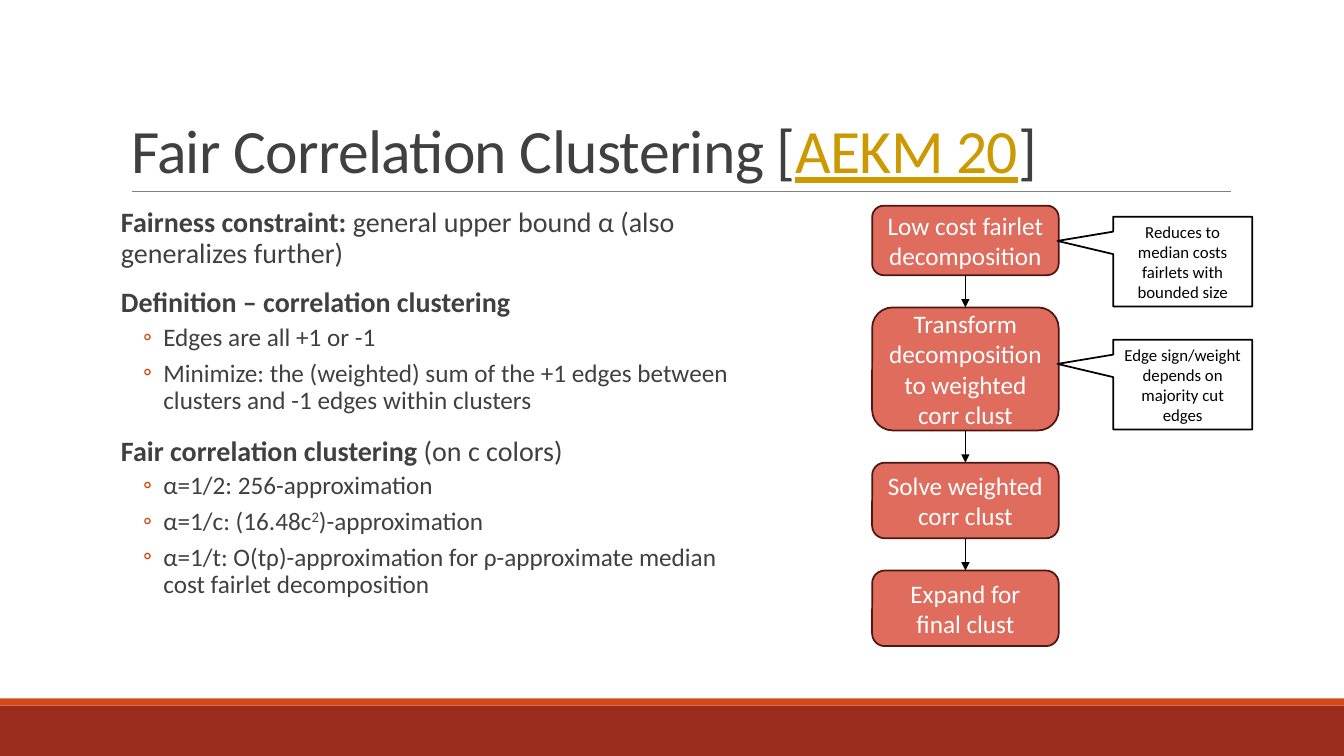
"""Build the fair correlation clustering slide and save it as out.pptx."""
from dataclasses import dataclass

from lxml.etree import SubElement
from pptx import Presentation
from pptx.dml.color import RGBColor
from pptx.enum.shapes import MSO_CONNECTOR, MSO_SHAPE
from pptx.enum.text import MSO_ANCHOR, MSO_AUTO_SIZE, PP_ALIGN
from pptx.oxml.ns import qn
from pptx.util import Inches, Pt


@dataclass(frozen=True)
class Theme:
    font: str = "Calibri"
    text: str = "404040"
    citation: str = "CC9900"
    accent: str = "D34817"
    footer: str = "9B2D1F"
    rule: str = "808080"
    step_fill: str = "DF6C5D"
    step_line: str = "4E1710"
    white: str = "FFFFFF"
    black: str = "000000"
    title_size: int = 44
    heading_size: int = 20
    step_size: int = 18
    note_size: int = 12


THEME = Theme()
BOLD = {"bold": True}
TITLE = [
    ("Fair Correlation Clustering [", {}),
    ("AEKM 20", {"color": THEME.citation, "underline": True}),
    ("]", {}),
]
BODY = [
    (0, [("Fairness constraint:", BOLD),
         (" general upper bound α (also generalizes further)", {})]),
    (0, [("Definition – correlation clustering", BOLD)]),
    (1, [("Edges are all +1 or -1", {})]),
    (1, [("Minimize: the (weighted) sum of the +1 edges between clusters "
          "and -1 edges within clusters", {})]),
    (0, [("Fair correlation clustering ", BOLD), ("(on c colors)", {})]),
    (1, [("α=1/2: 256-approximation", {})]),
    (1, [("α=1/c: (16.48c", {}), ("2", {"baseline": 30000}),
         (")-approximation", {})]),
    (1, [("α=1/t: O(tρ)-approximation for ρ-approximate median "
          "cost fairlet decomposition", {})]),
]
STEPS = [
    ("Low cost fairlet decomposition", 0.69),
    ("Transform decomposition to weighted corr clust", 1.22),
    ("Solve weighted corr clust", 0.75),
    ("Expand for final clust", 0.75),
]
NOTES = [
    ("Reduces to median costs fairlets with bounded size", 2.15),
    ("Edge sign/weight depends on majority cut edges", 3.37),
]
STEP_LEFT, STEP_TOP, STEP_WIDTH, STEP_GAP = 8.65, 2.04, 1.85, 0.32
NOTE_LEFT, NOTE_WIDTH, NOTE_HEIGHT = 11.04, 1.38, 0.89


def add_text(paragraph, text, size, color=THEME.text, bold=False,
             underline=False, baseline=None, spacing=None):
    run = paragraph.add_run()
    run.text = text
    font = run.font
    font.name, font.size = THEME.font, Pt(size)
    font.bold, font.underline = bold, underline
    font.color.rgb = RGBColor.from_string(color)
    properties = run._r.get_or_add_rPr()
    for name, value in (("baseline", baseline), ("spc", spacing)):
        if value is not None:
            properties.set(name, str(value))


def place(shape, left, top, width, height):
    shape.left, shape.top = Inches(left), Inches(top)
    shape.width, shape.height = Inches(width), Inches(height)


def add_box(slide, kind, bounds, fill, line=None):
    shape = slide.shapes.add_shape(kind, *map(Inches, bounds))
    shape.shadow.inherit = False
    shape.fill.solid()
    shape.fill.fore_color.rgb = RGBColor.from_string(fill)
    if line:
        shape.line.color.rgb = RGBColor.from_string(line)
        shape.line.width = Pt(1.25)
    else:
        shape.line.fill.background()
    return shape


def add_label(shape, text, size, color):
    frame = shape.text_frame
    frame.word_wrap = True
    frame.vertical_anchor = MSO_ANCHOR.MIDDLE
    paragraph = frame.paragraphs[0]
    paragraph.alignment = PP_ALIGN.CENTER
    add_text(paragraph, text, size, color=color)


def add_line(slide, start, end, color, width):
    line = slide.shapes.add_connector(
        MSO_CONNECTOR.STRAIGHT, *map(Inches, (*start, *end)))
    line.line.color.rgb = RGBColor.from_string(color)
    line.line.width = Pt(width)
    SubElement(line._element.spPr, qn("a:effectLst"))
    return line


def add_arrow(slide, upper, lower):
    arrow = add_line(slide, (0, 0), (0, 0), THEME.black, 1)
    arrow.begin_connect(upper, 2)
    arrow.end_connect(lower, 0)
    SubElement(arrow.line._get_or_add_ln(), qn("a:tailEnd"), type="triangle")


def set_bullet(paragraph, level):
    properties = paragraph._p.get_or_add_pPr()
    properties.set("marL", str(Inches(0.42 * level)))
    properties.set("indent", str(Inches(-0.2 * level)))
    if level:
        color = SubElement(properties, qn("a:buClr"))
        SubElement(color, qn("a:srgbClr"), val=THEME.accent)
        SubElement(properties, qn("a:buFont"), typeface=THEME.font)
        SubElement(properties, qn("a:buChar"), char="◦")
    else:
        SubElement(properties, qn("a:buNone"))


def fill_title(title):
    place(title, 1.2, 0.31, 11, 1.59)
    frame = title.text_frame
    frame.word_wrap = True
    frame.auto_size = MSO_AUTO_SIZE.NONE
    frame.vertical_anchor = MSO_ANCHOR.BOTTOM
    paragraph = frame.paragraphs[0]
    paragraph.alignment = PP_ALIGN.LEFT
    paragraph.line_spacing = 0.85
    for text, style in TITLE:
        add_text(paragraph, text, THEME.title_size, spacing=-50, **style)


def fill_body(body):
    place(body, 1.2, 2.02, 6.1, 4.49)
    frame = body.text_frame
    frame.word_wrap = True
    frame.auto_size = MSO_AUTO_SIZE.NONE
    frame.margin_left = frame.margin_right = 0
    for index, (level, runs) in enumerate(BODY):
        paragraph = frame.add_paragraph() if index else frame.paragraphs[0]
        paragraph.level = level
        paragraph.line_spacing = 0.9
        paragraph.space_before = Pt(2 if level else 12)
        paragraph.space_after = Pt(4 if level else 2)
        set_bullet(paragraph, level)
        size = THEME.step_size if level else THEME.heading_size
        for text, style in runs:
            add_text(paragraph, text, size, **style)


def add_flow(slide):
    top, previous = STEP_TOP, None
    for text, height in STEPS:
        step = add_box(slide, MSO_SHAPE.ROUNDED_RECTANGLE,
                       (STEP_LEFT, top, STEP_WIDTH, height),
                       THEME.step_fill, THEME.step_line)
        add_label(step, text, THEME.step_size, THEME.white)
        if previous:
            add_arrow(slide, previous, step)
        previous = step
        top += height + STEP_GAP
    for text, top in NOTES:
        note = add_box(slide, MSO_SHAPE.RECTANGULAR_CALLOUT,
                       (NOTE_LEFT, top, NOTE_WIDTH, NOTE_HEIGHT),
                       THEME.white, THEME.black)
        note.adjustments[0], note.adjustments[1] = -0.9, -0.23
        add_label(note, text, THEME.note_size, THEME.black)


presentation = Presentation()
presentation.slide_width, presentation.slide_height = Inches(13.33), Inches(7.5)
slide = presentation.slides.add_slide(presentation.slide_layouts[1])
add_box(slide, MSO_SHAPE.RECTANGLE, (0, 7, 13.33, 0.5), THEME.footer)
add_box(slide, MSO_SHAPE.RECTANGLE, (0, 6.93, 13.33, 0.07), THEME.accent)
add_line(slide, (1.31, 1.9), (12.21, 1.9), THEME.rule, 0.5)
fill_title(slide.shapes.title)
fill_body(slide.placeholders[1])
add_flow(slide)
presentation.save("out.pptx")
